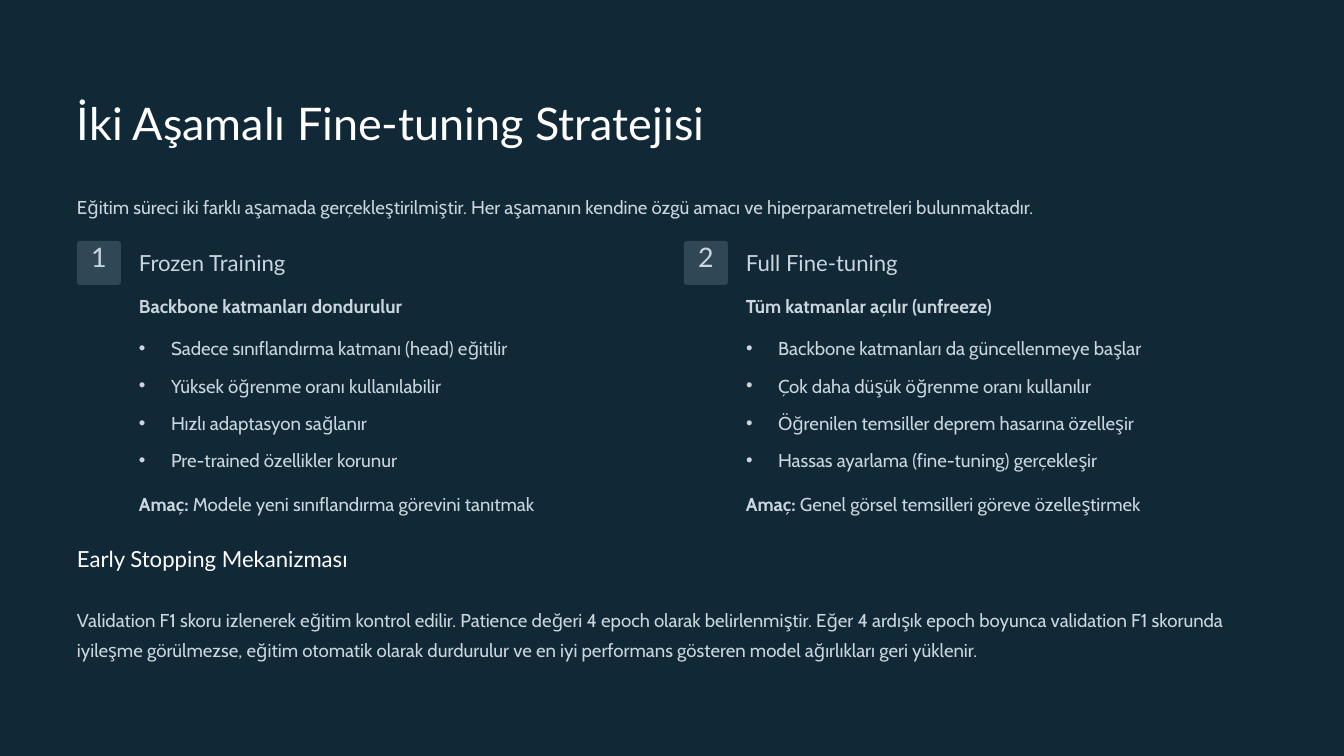
import pptx
import pptx.util
import pptx.dml.color
import pptx.enum.shapes
import pptx.enum.text
import pptx.oxml
import pptx.oxml.ns

RGBColor = pptx.dml.color.RGBColor
Pt = pptx.util.Pt
PP_ALIGN = pptx.enum.text.PP_ALIGN

NAVY = RGBColor(0x11, 0x28, 0x36)
SLATE = RGBColor(0x30, 0x47, 0x55)
MIST = RGBColor(0xCA, 0xD6, 0xDE)
WHITE = RGBColor(0xFF, 0xFF, 0xFF)

LEFT = 77
FULL_WIDTH = 1190
STAGE_PITCH = 607
STAGE_INDENT = 62
STAGE_WIDTH = 521

STAGES = [
    ("Frozen Training", "Backbone katmanları dondurulur",
     ["Sadece sınıflandırma katmanı (head) eğitilir",
      "Yüksek öğrenme oranı kullanılabilir",
      "Hızlı adaptasyon sağlanır",
      "Pre-trained özellikler korunur"],
     " Modele yeni sınıflandırma görevini tanıtmak"),
    ("Full Fine-tuning", "Tüm katmanlar açılır (unfreeze)",
     ["Backbone katmanları da güncellenmeye başlar",
      "Çok daha düşük öğrenme oranı kullanılır",
      "Öğrenilen temsiller deprem hasarına özelleşir",
      "Hassas ayarlama (fine-tuning) gerçekleşir"],
     " Genel görsel temsilleri göreve özelleştirmek"),
]


def px(n):
    return pptx.util.Emu(round(n * 914400 / 84))


def place(sp, x, y, w, h):
    sp.left, sp.top, sp.width, sp.height = px(x), px(y), px(w), px(h)


def prepare_frame(sp, wrap=True, top=0):
    """Set the insets, wrapping and top anchor of a shape's text."""
    tf = sp.text_frame
    tf.margin_left = tf.margin_right = tf.margin_bottom = 0
    tf.margin_top = px(top)
    tf.word_wrap = wrap
    tf.auto_size = pptx.enum.text.MSO_AUTO_SIZE.NONE
    tf.vertical_anchor = pptx.enum.text.MSO_ANCHOR.TOP
    return tf


def format_paragraph(p, size, leading, font="Cabin", color=MIST, bold=False,
                     align=PP_ALIGN.LEFT):
    p.alignment = align
    p.line_spacing = Pt(leading)
    p.space_before = p.space_after = Pt(0)
    for r in p.runs:
        r.font.name = font
        r.font.size = Pt(size)
        r.font.bold = bold
        r.font.color.rgb = color


def add_text(slide, box, text, size=16, leading=26, wrap=False, **style):
    sp = slide.shapes.add_textbox(*map(px, box))
    p = prepare_frame(sp, wrap).paragraphs[0]
    p.text = text
    format_paragraph(p, size, leading, **style)
    return p


def add_badge(slide, x, number):
    sp = slide.shapes.add_shape(
        pptx.enum.shapes.MSO_SHAPE.ROUNDED_RECTANGLE,
        px(x), px(241), px(44), px(44))
    sp.adjustments[0] = 0.07
    sp.shadow.inherit = False
    sp.fill.solid()
    sp.fill.fore_color.rgb = SLATE
    sp.line.fill.background()
    p = prepare_frame(sp, wrap=False, top=4).paragraphs[0]
    p.text = str(number)
    format_paragraph(p, 23, 23, font="Lato", align=PP_ALIGN.CENTER)


def set_bullet(p):
    pPr = p._p.get_or_add_pPr()
    pPr.set("marL", str(px(32)))
    pPr.set("indent", str(-px(32)))
    bullet = pptx.oxml.parse_xml(
        f'<a:buChar {pptx.oxml.ns.nsdecls("a")} char="•"/>')
    pPr.append(bullet)


def fill_list(sp, x, items):
    place(sp, x, 329, STAGE_WIDTH, 144)
    tf = prepare_frame(sp)
    tf.text = "\n".join(items)
    for i, p in enumerate(tf.paragraphs):
        set_bullet(p)
        format_paragraph(p, 16, 26)
        if i:
            p.space_before = Pt(6.1)


def add_stage(slide, number, stage):
    heading, summary, items, goal = stage
    x = LEFT + (number - 1) * STAGE_PITCH
    text_x = x + STAGE_INDENT
    add_badge(slide, x, number)
    add_text(slide, (text_x, 248, 226, 29), heading, 19, 24, font="Lato")
    add_text(slide, (text_x, 287, STAGE_WIDTH, 31), summary, bold=True)
    fill_list(slide.placeholders[number], text_x, items)
    p = add_text(slide, (text_x, 485, STAGE_WIDTH, 31), "Amaç:", bold=True)
    p.add_run().text = goal
    format_paragraph(p, 16, 26)
    p.runs[0].font.bold = True


def set_title(slide, text):
    title = slide.shapes.title
    place(title, LEFT, 93, 852, 56)
    tf = prepare_frame(title, wrap=False)
    tf.text = text
    format_paragraph(tf.paragraphs[0], 38.5, 48.5, font="Lato", color=WHITE)


def main():
    prs = pptx.Presentation()
    prs.slide_width, prs.slide_height = px(1344), px(756)
    slide = prs.slides.add_slide(prs.slide_layouts.get_by_name("Two Content"))
    slide.background.fill.solid()
    slide.background.fill.fore_color.rgb = NAVY

    set_title(slide, "İki Aşamalı Fine-tuning Stratejisi")
    add_text(slide, (LEFT, 188, FULL_WIDTH, 31),
             "Eğitim süreci iki farklı aşamada gerçekleştirilmiştir. Her aşamanın "
             "kendine özgü amacı ve hiperparametreleri bulunmaktadır.")
    for number, stage in enumerate(STAGES, 1):
        add_stage(slide, number, stage)
    add_text(slide, (LEFT, 544, 382, 29), "Early Stopping Mekanizması", 19, 24,
             font="Lato", color=WHITE)
    add_text(slide, (LEFT, 601, FULL_WIDTH, 61),
             "Validation F1 skoru izlenerek eğitim kontrol edilir. Patience değeri "
             "4 epoch olarak belirlenmiştir. Eğer 4 ardışık epoch boyunca validation "
             "F1 skorunda iyileşme görülmezse, eğitim otomatik olarak durdurulur ve "
             "en iyi performans gösteren model ağırlıkları geri yüklenir.", wrap=True)
    prs.save("out.pptx")


if __name__ == "__main__":
    main()
